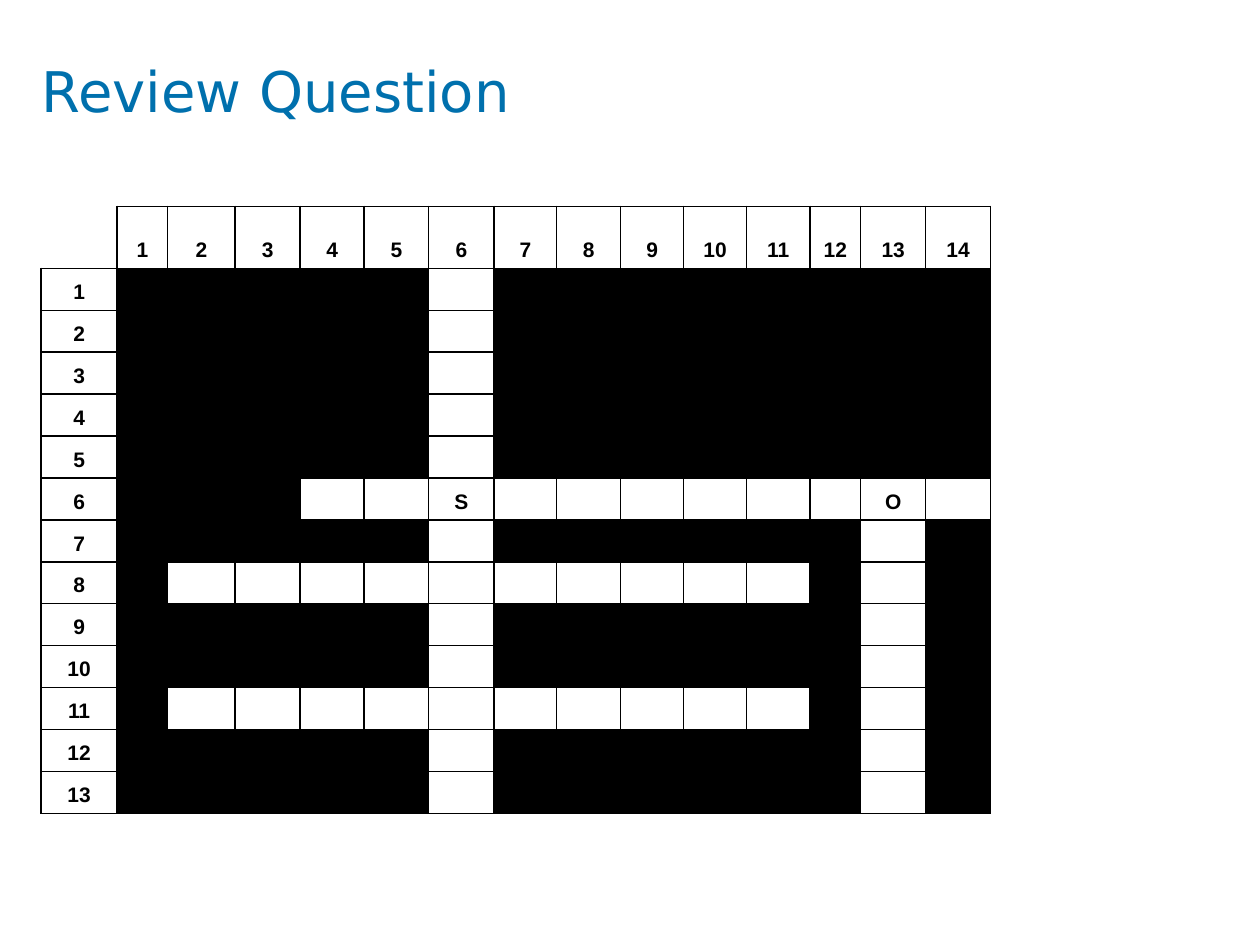
from lxml.etree import SubElement
from pptx import Presentation
from pptx.dml.color import RGBColor
from pptx.enum.text import MSO_ANCHOR, PP_ALIGN
from pptx.oxml.ns import qn
from pptx.util import Cm, Pt

COLORS = {"title": "0070AD", "ink": "000000"}
TITLE_FONT = {"name": "DejaVu Sans", "size": Pt(32)}
CELL_FONT = {"name": "Arial", "size": Pt(12), "bold": True}

COLUMN_WIDTHS = [1.53, 1.02, 1.36, 1.31, 1.29, 1.3, 1.32, 1.26,
                 1.29, 1.27, 1.27, 1.28, 1.02, 1.31, 1.31]
HEADER_HEIGHT = 1.25
ROW_COUNT = 14

# Words as number of the line, first cell, last cell
WORDS_ACROSS = [(6, 4, 14), (8, 2, 11), (11, 2, 11)]
WORDS_DOWN = [(6, 1, 13), (13, 6, 13)]
LETTERS = {(6, 6): "S", (6, 13): "O"}


def open_cells():
    across = {(row, column) for row, first, last in WORDS_ACROSS
              for column in range(first, last + 1)}
    down = {(row, column) for column, first, last in WORDS_DOWN
            for row in range(first, last + 1)}
    return across | down


def apply_format(target, values):
    for name, value in values.items():
        setattr(target, name, value)


def write_text(paragraph, text, font, color):
    run = paragraph.add_run()
    run.text = text
    apply_format(run.font, font)
    run.font.color.rgb = RGBColor.from_string(COLORS[color])


def add_title(slide, text, left, top, width, height):
    title = slide.shapes.add_textbox(Cm(left), Cm(top), Cm(width), Cm(height))
    apply_format(title.text_frame, {
        "word_wrap": True, "vertical_anchor": MSO_ANCHOR.TOP,
        "margin_left": 0, "margin_top": 0,
        "margin_right": 0, "margin_bottom": 0})
    write_text(title.text_frame.paragraphs[0], text, TITLE_FONT, "title")


def set_borders(cell, visible_sides):
    """Draw the named sides (L, R, T, B) and hide the others."""
    properties = cell._tc.get_or_add_tcPr()
    for side in "LRTB":
        line = SubElement(properties, qn(f"a:ln{side}"), w=str(Pt(1)))
        if side in visible_sides:
            fill = SubElement(line, qn("a:solidFill"))
            SubElement(fill, qn("a:srgbClr"), val=COLORS["ink"])
        else:
            SubElement(line, qn("a:noFill"))


def cell_text(row, column):
    if row and column:
        return LETTERS.get((row, column), "")
    return str(row or column or "")


def format_cell(cell, text, blocked, visible_sides):
    set_borders(cell, visible_sides)
    if blocked:
        cell.fill.solid()
        cell.fill.fore_color.rgb = RGBColor.from_string(COLORS["ink"])
    else:
        cell.fill.background()
    cell.vertical_anchor = MSO_ANCHOR.BOTTOM
    if text:
        paragraph = cell.text_frame.paragraphs[0]
        paragraph.alignment = PP_ALIGN.CENTER
        write_text(paragraph, text, CELL_FONT, "ink")
    else:
        # Without margins an empty line fits the row height
        cell.margin_top = cell.margin_bottom = 0


def add_crossword(slide, left, top, height):
    frame = slide.shapes.add_table(
        ROW_COUNT, len(COLUMN_WIDTHS), Cm(left), Cm(top),
        Cm(sum(COLUMN_WIDTHS)), Cm(height))
    table = frame.table
    apply_format(table, {"first_row": False, "horz_banding": False})
    for column, width in zip(table.columns, COLUMN_WIDTHS):
        column.width = Cm(width)
    row_height = (height - HEADER_HEIGHT) / (ROW_COUNT - 1)
    for index, row in enumerate(table.rows):
        row.height = Cm(row_height if index else HEADER_HEIGHT)

    opened = open_cells()
    for row in range(ROW_COUNT):
        for column in range(len(COLUMN_WIDTHS)):
            blocked = row > 0 and column > 0 and (row, column) not in opened
            sides = "LRTB" if row or column else "RB"
            format_cell(table.cell(row, column), cell_text(row, column),
                        blocked, sides)


def main():
    presentation = Presentation()
    presentation.slide_width = Cm(25.4)
    presentation.slide_height = Cm(19.05)
    slide = presentation.slides.add_slide(presentation.slide_layouts[6])
    add_title(slide, "Review Question", 0.84, 1.14, 23.7, 2.39)
    add_crossword(slide, 0.83, 4.16, 12.24)
    presentation.save("out.pptx")


if __name__ == "__main__":
    main()
